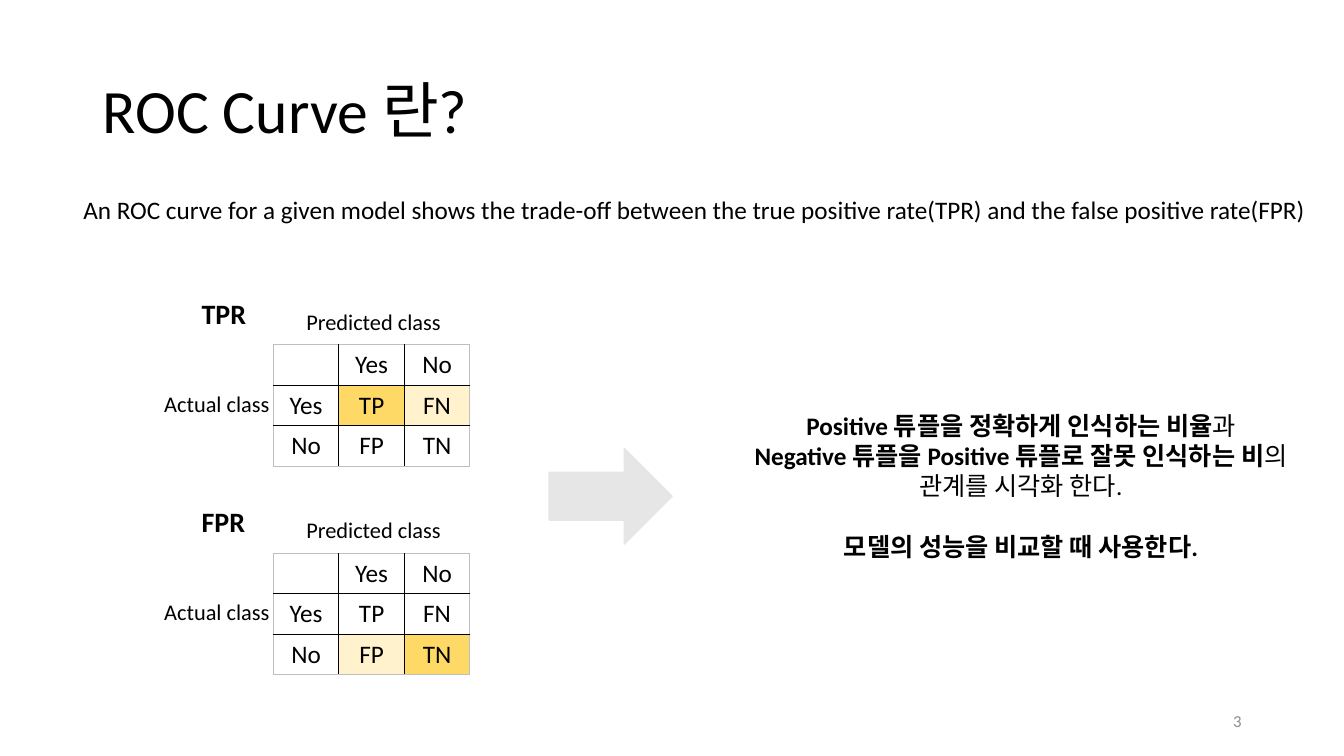
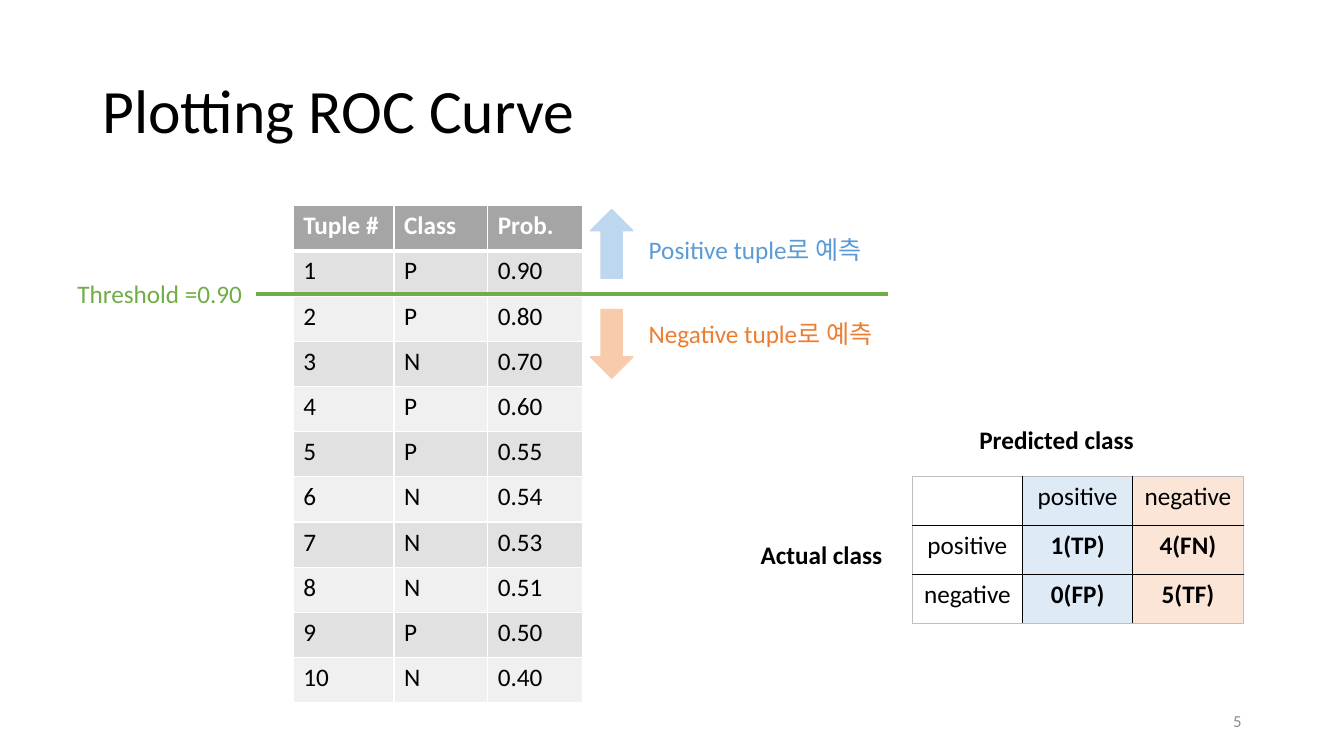
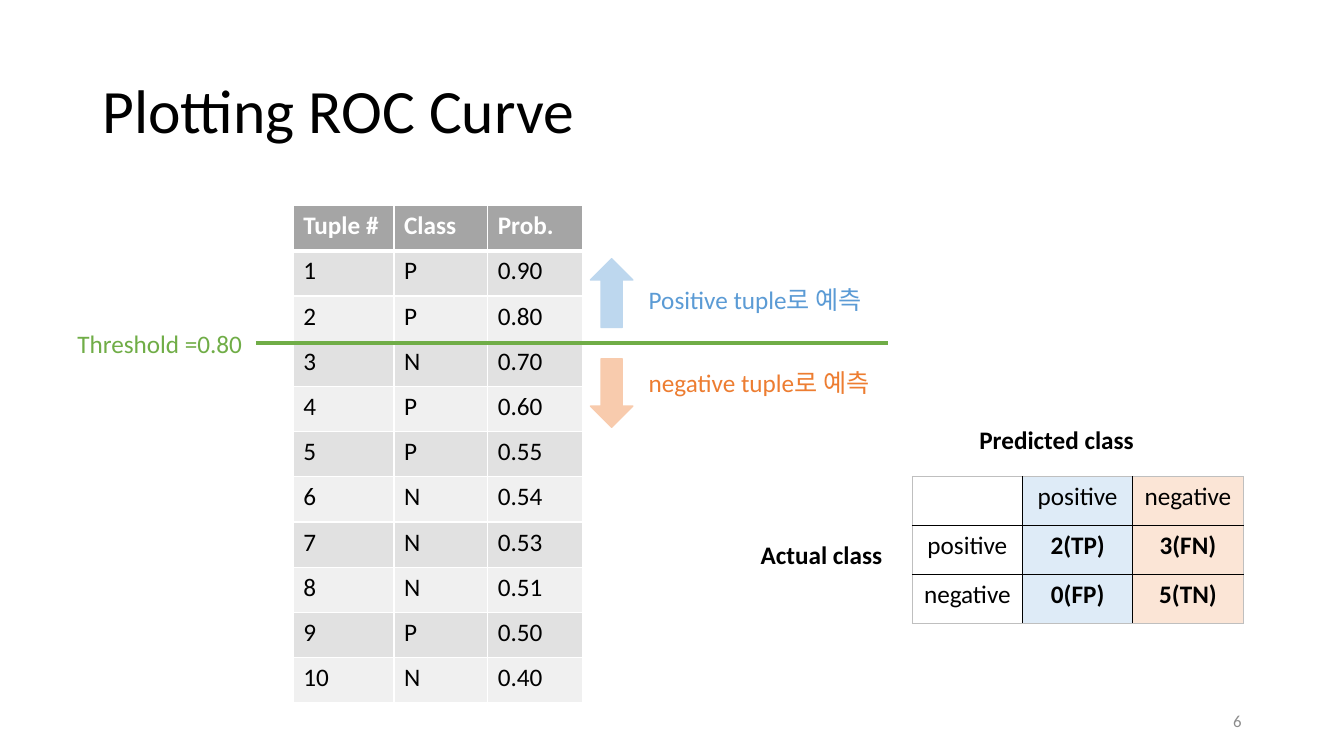
from pptx import Presentation
from pptx.dml.color import RGBColor
from pptx.enum.shapes import MSO_CONNECTOR, MSO_SHAPE
from pptx.enum.text import MSO_ANCHOR, MSO_AUTO_SIZE, PP_ALIGN
from pptx.oxml.ns import qn
from pptx.util import Cm, Pt
from lxml.etree import SubElement

FONT = "Calibri"
COLORS = {
    "text": "000000", "white": "FFFFFF", "number": "8C8C8C", "edge": "BFBFBF",
    "head": "A5A5A5", "band_dark": "E1E1E1", "band_light": "F0F0F0",
    "strong": "FFD966", "soft": "FFF2CC", "arrow": "E7E6E6",
    "up": "BDD7EE", "up_text": "5B9BD5", "up_cell": "DEEBF7",
    "down": "F8CBAD", "down_text": "ED7D31", "down_cell": "FBE5D6",
    "threshold": "70AD47",
}

INTRO = ("An ROC curve for a given model shows the trade-off between "
         "the true positive rate(TPR) and the false positive rate(FPR)")
RATE_ROWS = [["", "Yes", "No"], ["Yes", "TP", "FN"], ["No", "FP", "TN"]]
RATES = [
    ("TPR", 8.69, {(1, 1): "strong", (1, 2): "soft"}),
    ("FPR", 13.94, {(2, 1): "soft", (2, 2): "strong"}),
]
SUMMARY = [
    [("Positive 튜플을 정확하게 인식하는 비율", True), ("과", False)],
    [("Negative 튜플을 Positive 튜플로 잘못 인식하는 비", True), ("의", False)],
    [("관계를 시각화 한다.", False)],
    [("모델의 성능을 비교할 때 사용한다.", True)],
]
TUPLES = [
    ("Tuple #", "Class", "Prob."),
    ("1", "P", "0.90"), ("2", "P", "0.80"), ("3", "N", "0.70"),
    ("4", "P", "0.60"), ("5", "P", "0.55"), ("6", "N", "0.54"),
    ("7", "N", "0.53"), ("8", "N", "0.51"), ("9", "P", "0.50"),
    ("10", "N", "0.40"),
]
THRESHOLDS = [
    {"number": "5", "value": "0.90", "y": 7.41, "negative": "Negative tuple로 예측",
     "counts": [("1(TP)", "4(FN)"), ("0(FP)", "5(TF)")]},
    {"number": "6", "value": "0.80", "y": 8.65, "negative": "negative tuple로 예측",
     "counts": [("2(TP)", "3(FN)"), ("0(FP)", "5(TN)")]},
]


def rgb(name):
    return RGBColor.from_string(COLORS[name])


def style(p, size=18, color="text", bold=False, align=PP_ALIGN.LEFT):
    p.alignment = align
    p.font.name, p.font.size, p.font.bold = FONT, Pt(size), bold
    p.font.color.rgb = rgb(color)


def add_text(s, x, y, w, h, text, **look):
    sp = s.shapes.add_textbox(Cm(x), Cm(y), Cm(w), Cm(h))
    sp.text_frame.word_wrap = True
    p = sp.text_frame.paragraphs[0]
    p.text = text
    style(p, **look)
    return sp


def add_arrow(s, kind, x, y, w, h, color):
    sp = s.shapes.add_shape(kind, Cm(x), Cm(y), Cm(w), Cm(h))
    sp.shadow.inherit = False
    sp.fill.solid()
    sp.fill.fore_color.rgb = rgb(color)
    sp.line.color.rgb = rgb(color)
    sp.line.width = Pt(1)


def set_border(cell, side, color, width):
    ln = SubElement(cell._tc.get_or_add_tcPr(), qn("a:ln" + side), w=str(Pt(width)))
    fill = SubElement(ln, qn("a:solidFill"))
    SubElement(fill, qn("a:srgbClr"), val=COLORS[color])


def add_grid(s, x, y, widths, row_h, rows, look, borders):
    frame = s.shapes.add_table(len(rows), len(widths), Cm(x), Cm(y),
                               Cm(sum(widths)), Cm(row_h * len(rows)))
    table = frame.table
    table.first_row = table.horz_banding = False
    for col, w in zip(table.columns, widths):
        col.width = Cm(w)
    for i, row in enumerate(rows):
        table.rows[i].height = Cm(row_h)
        for j, text in enumerate(row):
            cell = table.cell(i, j)
            for side, (color, width) in zip("LRTB", borders(i, j)):
                set_border(cell, side, color, width)
            fill, font = look(i, j)
            cell.fill.solid()
            cell.fill.fore_color.rgb = rgb(fill)
            p = cell.text_frame.paragraphs[0]
            p.text = text
            style(p, **font)


def matrix_borders(i, j):
    edge, inner = ("edge", 0.75), ("text", 1)
    return [edge if outer else inner for outer in (j == 0, j == 2, i == 0, i == 2)]


def tuple_borders(i, j):
    thin, thick = ("white", 1), ("white", 3)
    return [thin, thin, thick if i == 1 else thin, thick if i == 0 else thin]


def tuple_look(i, j):
    if i == 0:
        return "head", {"color": "white", "bold": True}
    return ("band_dark" if i % 2 else "band_light"), {}


def count_look(i, j):
    return (("white", "up_cell", "down_cell")[j],
            {"bold": i > 0 and j > 0, "align": PP_ALIGN.CENTER})


def add_slide(prs, title, number):
    s = prs.slides.add_slide(prs.slide_layouts[5])
    sp = s.shapes.title
    sp.left, sp.top, sp.width, sp.height = Cm(2.33), Cm(1.01), Cm(29.21), Cm(3.68)
    tf = sp.text_frame
    tf.text = title
    tf.auto_size = MSO_AUTO_SIZE.NONE
    tf.vertical_anchor = MSO_ANCHOR.MIDDLE
    style(tf.paragraphs[0], size=44)
    tf.paragraphs[0].line_spacing = 0.9
    footer = add_text(s, 23.92, 17.65, 7.62, 1.01, number,
                      size=12, color="number", align=PP_ALIGN.RIGHT)
    footer.text_frame.vertical_anchor = MSO_ANCHOR.MIDDLE
    return s


def add_rates_slide(prs):
    s = add_slide(prs, "ROC Curve 란?", "3")
    add_text(s, 1.85, 4.78, 32, 1.02, INTRO)
    for name, y, marks in RATES:
        add_grid(s, 6.89, y, [1.65] * 3, 1.02, RATE_ROWS,
                 lambda i, j: (marks.get((i, j), "white"), {"align": PP_ALIGN.CENTER}),
                 matrix_borders)
        add_text(s, 4.83, y - 1.34, 1.73, 1.11, name, size=20, bold=True)
        add_text(s, 7.47, y - 1.05, 6.12, 0.94, "Predicted class", size=16)
        add_text(s, 3.89, y + 1.01, 3.58, 0.94, "Actual class", size=16)
    add_arrow(s, MSO_SHAPE.RIGHT_ARROW, 13.84, 11.3, 3.1, 2.41, "arrow")
    tf = add_text(s, 18.34, 10.21, 14.78, 4.11, "").text_frame
    for i, runs in enumerate(SUMMARY):
        p = tf.add_paragraph() if i else tf.paragraphs[0]
        style(p, align=PP_ALIGN.CENTER)
        for text, bold in runs:
            r = p.add_run()
            r.text = text
            r.font.bold = bold
    p.space_before = Pt(22)


def add_threshold_slide(prs, data):
    s = add_slide(prs, "Plotting ROC Curve", data["number"])
    add_grid(s, 7.39, 5.18, [2.54, 2.36, 2.39], 1.14, TUPLES, tuple_look, tuple_borders)

    y = data["y"]
    sides = [
        (MSO_SHAPE.UP_ARROW, -2.13, -1.62, "Positive tuple로 예측", "up"),
        (MSO_SHAPE.DOWN_ARROW, 0.39, 0.49, data["negative"], "down"),
    ]
    for kind, arrow_dy, text_dy, text, color in sides:
        add_arrow(s, kind, 14.88, y + arrow_dy, 1.07, 1.73, color)
        add_text(s, 16.1, y + text_dy, 7.29, 1.02, text, color=color + "_text")
    label = add_text(s, 1.7, y - 0.51, 4.75, 1.02,
                     "Threshold =" + data["value"], color="threshold")
    line = s.shapes.add_connector(MSO_CONNECTOR.STRAIGHT,
                                  Cm(6.45), Cm(y), Cm(22.38), Cm(y))
    line.begin_connect(label, 3)
    line.line.color.rgb = rgb("threshold")
    line.line.width = Pt(3)
    SubElement(line._element.spPr, qn("a:effectLst"))

    names = ("positive", "negative")
    rows = [("",) + names] + [(n,) + c for n, c in zip(names, data["counts"])]
    add_grid(s, 22.99, 12.01, [2.78] * 3, 1.23, rows, count_look, matrix_borders)
    add_text(s, 24.43, 10.57, 6.12, 1.02, "Predicted class", bold=True)
    add_text(s, 18.92, 13.46, 3.58, 1.02, "Actual class", bold=True)


def main():
    prs = Presentation()
    prs.slide_width, prs.slide_height = Cm(33.87), Cm(19.05)
    add_rates_slide(prs)
    for data in THRESHOLDS:
        add_threshold_slide(prs, data)
    prs.save("out.pptx")


if __name__ == "__main__":
    main()
